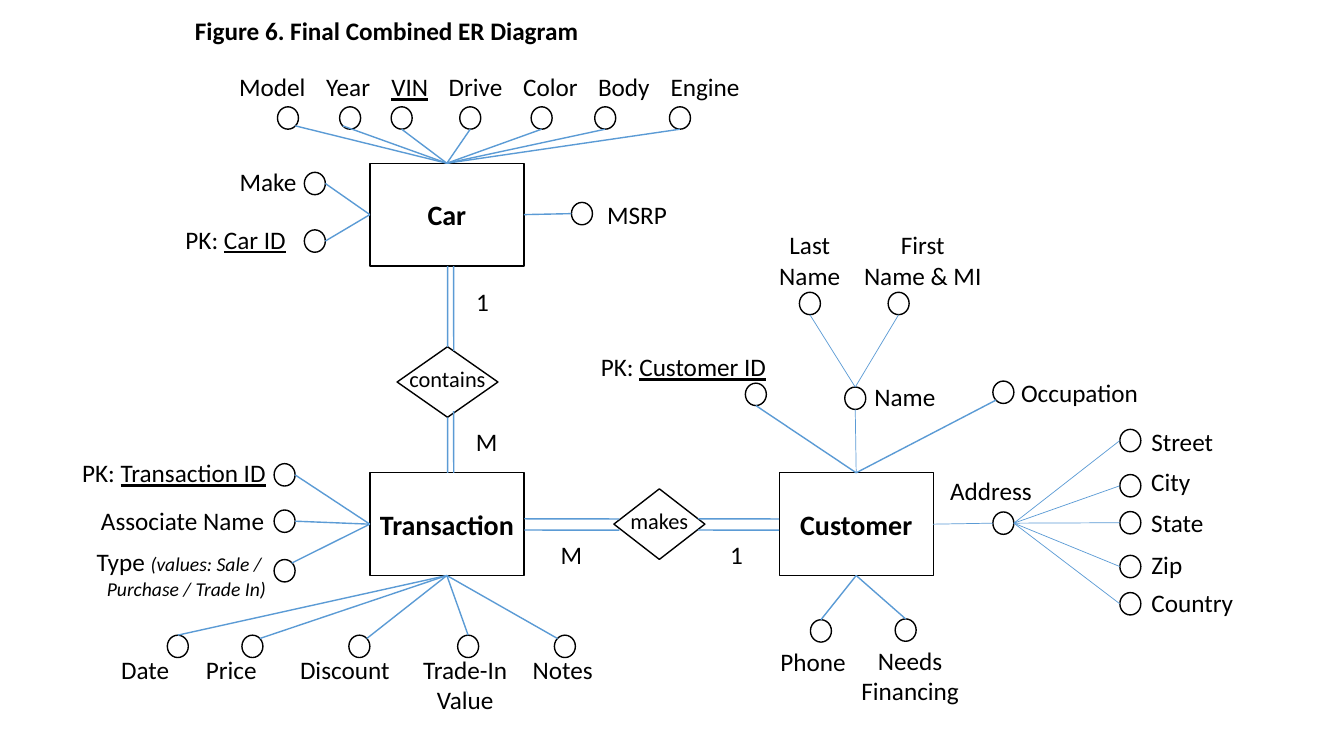
from lxml import etree
from pptx import Presentation
from pptx.dml.color import RGBColor
from pptx.enum import shapes, text
from pptx.oxml import ns
from pptx.util import Pt

BLACK = RGBColor(0x00, 0x00, 0x00)
BLUE = RGBColor(0x5B, 0x9B, 0xD5)
FONT = "Calibri"
ENTITY_SIZE = (110, 73.4)
RING_SIZE = (15, 16)
LINE_HEIGHT = 29
CENTER, RIGHT, LEFT = text.PP_ALIGN.CENTER, text.PP_ALIGN.RIGHT, text.PP_ALIGN.LEFT

# Points on an outline, as fractions of its width and height
SITES = {"N": (0.5, 0), "S": (0.5, 1), "W": (0, 0.5), "E": (1, 0.5),
         "NW": (0.15, 0.15), "NE": (0.85, 0.15), "SW": (0.15, 0.85), "SE": (0.85, 0.85)}

# Attributes: label, side of the owner, end on the ring, ring (x, y),
# label (x, y, width); "|" starts a key, "~" starts a note.
CAR_TOP = [("Model", "SE", -66, -101, 62.6), ("Year", "SW", -21.6, -38.5, 46),
           ("|VIN", "S", 15.2, 8, 41), ("Drive", "S", 64.2, 49, 53),
           ("Color", "S", 115.2, 102, 54), ("Body", "S", 160.6, 155.4, 52),
           ("Engine", "S", 214, 207.4, 64)]
CAR = [(name, "N", end, (ring_x, -40.3), (label_x, -69, width))
       for name, end, ring_x, label_x, width in CAR_TOP] + [
    ("Make", "W", "E", (-46.8, 6.5), (-100.4, -1.4, 55.4)),
    ("PK: |Car ID", "W", "E", (-46.8, 47.6), (-139.4, 40, 87)),
    ("MSRP", "E", "W", (144, 28), (162, 22.4, 57.6))]

TRANSACTION_BOTTOM = [("Date", "N", -144.7, -185, 49), ("Price", "NE", -91.4, -124.5, 51),
                      ("Discount", "NE", -15, -57.4, 79),
                      ("Trade-In\nValue", "N", 62.7, 30.3, 75.6),
                      ("Notes", "NW", 131.8, 109, 57.6)]
TRANSACTION = [(name, "S", end, (ring_x, 116), (label_x, 126, width))
               for name, end, ring_x, label_x, width in TRANSACTION_BOTTOM] + [
    ("PK: |Transaction ID", "W", "E", (-68.4, -6.5), (-213.5, -14.4, 147)),
    ("Associate Name", "W", "E", (-68.4, 26.6), (-200, 20, 132.5)),
    ("Type ~(values: Sale / \n~Purchase / Trade In)", "W", "NE",
     (-68.4, 62), (-204, 49, 137))]

CUSTOMER = [
    ("PK: |Customer ID", "N", "S", (-24.2, -64), (-135.4, -90, 134)),
    ("Name", "N", "S", (46.8, -61.2), (60.6, -69, 58.3)),
    ("Occupation", "N", "SW", (152.6, -65.5), (164.8, -71.6, 99.4)),
    ("Address", "E", "W", (152.6, 28), (114.6, -2, 73.4)),
    ("Phone", "S", "N", (22.3, 105), (-6.8, 120.6, 62)),
    ("Needs\nFinancing", "S", "N", (82.8, 104.4), (51, 119.5, 85))]

ADDRESS_PARTS = [("Street", -59, -65, 59), ("City", -26.7, -36.4, 42.5),
                 ("State", -0.3, -7.2, 52), ("Zip", 31, 23, 37), ("Country", 57.6, 50.4, 73.4)]
PARTS = {
    "Name": [("Last\nName", "N", "S", (-32.4, -67.7), (-54, -116, 58)),
             ("First\nName & MI", "N", "S", (31, -67.7), (6, -116, 99.4))],
    "Address": [(name, "E", "W", (90.7, ring_y), (105.8, label_y, width))
                for name, ring_y, label_y, width in ADDRESS_PARTS]}


def set_font(paragraph, size, bold=False, align=CENTER):
    """Give a paragraph its alignment and the diagram's black type."""
    paragraph.alignment = align
    font = paragraph.font
    font.name, font.size, font.bold = FONT, Pt(size), bold
    font.color.rgb = BLACK


def add_outline(slide, preset, box):
    """Draw an unfilled black outline in a box."""
    outline = slide.shapes.add_shape(preset, *map(Pt, box))
    outline.shadow.inherit = False
    outline.fill.background()
    outline.line.color.rgb = BLACK
    outline.line.width = Pt(1)
    return outline


def add_link(slide, start, end, weight=1):
    """Draw a blue line between two points."""
    link = slide.shapes.add_connector(shapes.MSO_CONNECTOR.STRAIGHT, *map(Pt, (*start, *end)))
    link.line.color.rgb = BLUE
    link.line.width = Pt(weight)
    etree.SubElement(link._element.spPr, ns.qn("a:effectLst"))


def add_label(slide, left, top, width, wording):
    """Write a label, one paragraph a line, with keys underlined and notes in italics."""
    lines = wording.split("\n")
    label = slide.shapes.add_textbox(Pt(left), Pt(top), Pt(width), Pt(LINE_HEIGHT * len(lines)))
    frame = label.text_frame
    frame.word_wrap = False
    for number, line in enumerate(lines):
        paragraph = frame.add_paragraph() if number else frame.paragraphs[0]
        set_font(paragraph, 18, align=RIGHT if "~" in line else CENTER)
        mark = "~" if "~" in line else "|"
        plain, found, marked = line.partition(mark)
        if plain:
            paragraph.add_run().text = plain
        if found:
            run = paragraph.add_run()
            run.text = marked
            font = run.font if plain else paragraph.font
            if mark == "|":
                font.underline = True
            else:
                font.italic, font.size = True, Pt(14)


def site(box, name):
    """Return a named point on the outline of a box."""
    left, top, width, height = box
    across, down = SITES[name]
    return left + across * width, top + down * height


def add_attributes(slide, owner, attributes, weight=1):
    """Place rings, labels and links around an owner, with the parts of composite ones."""
    left, top = owner[:2]
    for name, side, end, (ring_x, ring_y), (label_x, label_y, width) in attributes:
        ring = (left + ring_x, top + ring_y, *RING_SIZE)
        parts = PARTS.get(name, [])
        add_outline(slide, shapes.MSO_SHAPE.OVAL, ring)
        add_link(slide, site(owner, side), site(ring, end), 0.5 if parts else weight)
        add_label(slide, left + label_x, top + label_y, width, name)
        add_attributes(slide, ring, parts, 0.5)


def add_entity(slide, left, top, name, attributes):
    """Draw an entity and all its attributes."""
    box = (left, top, *ENTITY_SIZE)
    frame = add_outline(slide, shapes.MSO_SHAPE.RECTANGLE, box).text_frame
    frame.text = name
    frame.word_wrap = False
    set_font(frame.paragraphs[0], 20, bold=True)
    add_attributes(slide, box, attributes)


def add_relationship(slide, box, verb, links, cardinalities):
    """Draw a relationship diamond with its double links and cardinalities."""
    left, top = box[:2]
    frame = add_outline(slide, shapes.MSO_SHAPE.DIAMOND, box).text_frame
    frame.text = verb
    frame.word_wrap = False
    frame.margin_left = frame.margin_right = frame.margin_top = 0
    frame.margin_bottom = Pt(5)
    set_font(frame.paragraphs[0], 16)
    for x1, y1, x2, y2 in links:
        add_link(slide, (left + x1, top + y1), (left + x2, top + y2))
    for count, x, y, width in cardinalities:
        add_label(slide, left + x, top + y, width, count)


def add_title(slide, left, top, width, height):
    """Put the figure's caption in the title placeholder."""
    title = slide.shapes.title
    title.left, title.top, title.width, title.height = map(Pt, (left, top, width, height))
    frame = title.text_frame
    frame.text = "Figure 6. Final Combined ER Diagram"
    frame.word_wrap = False
    frame.auto_size = text.MSO_AUTO_SIZE.NONE
    frame.vertical_anchor = text.MSO_ANCHOR.MIDDLE
    set_font(frame.paragraphs[0], 18, bold=True, align=LEFT)


def build_diagram(slide):
    """Place the caption, the entities and the relationships."""
    add_title(slide, 132, 7.5, 294, LINE_HEIGHT)
    add_entity(slide, 264.2, 116.6, "Car", CAR)
    add_entity(slide, 264.2, 337.7, "Transaction", TRANSACTION)
    add_entity(slide, 556.6, 337.7, "Customer", CUSTOMER)
    add_relationship(slide, (283.7, 247.7, 72, 50.4), "contains",
                     [(36, -57.6, 36.1, 0), (36, 50.4, 36.1, 90),
                      (40.3, -57.6, 40.4, 3), (40.3, 46, 40.4, 90)],
                     [("1", 49, -46.8, 24), ("M", 49, 53.3, 30)])
    add_relationship(slide, (438.5, 349.2, 65, 50.4), "makes",
                     [(x1, y, x2, y + 0.1) for y in (21.4, 29.4)
                      for x1, x2 in ((-64, 4), (60, 118))],
                     [("M", -45.4, 32.4, 30), ("1", 75.6, 32.4, 24)])


deck = Presentation()
deck.slide_width, deck.slide_height = Pt(960), Pt(540)
build_diagram(deck.slides.add_slide(deck.slide_layouts[5]))
deck.save("out.pptx")
